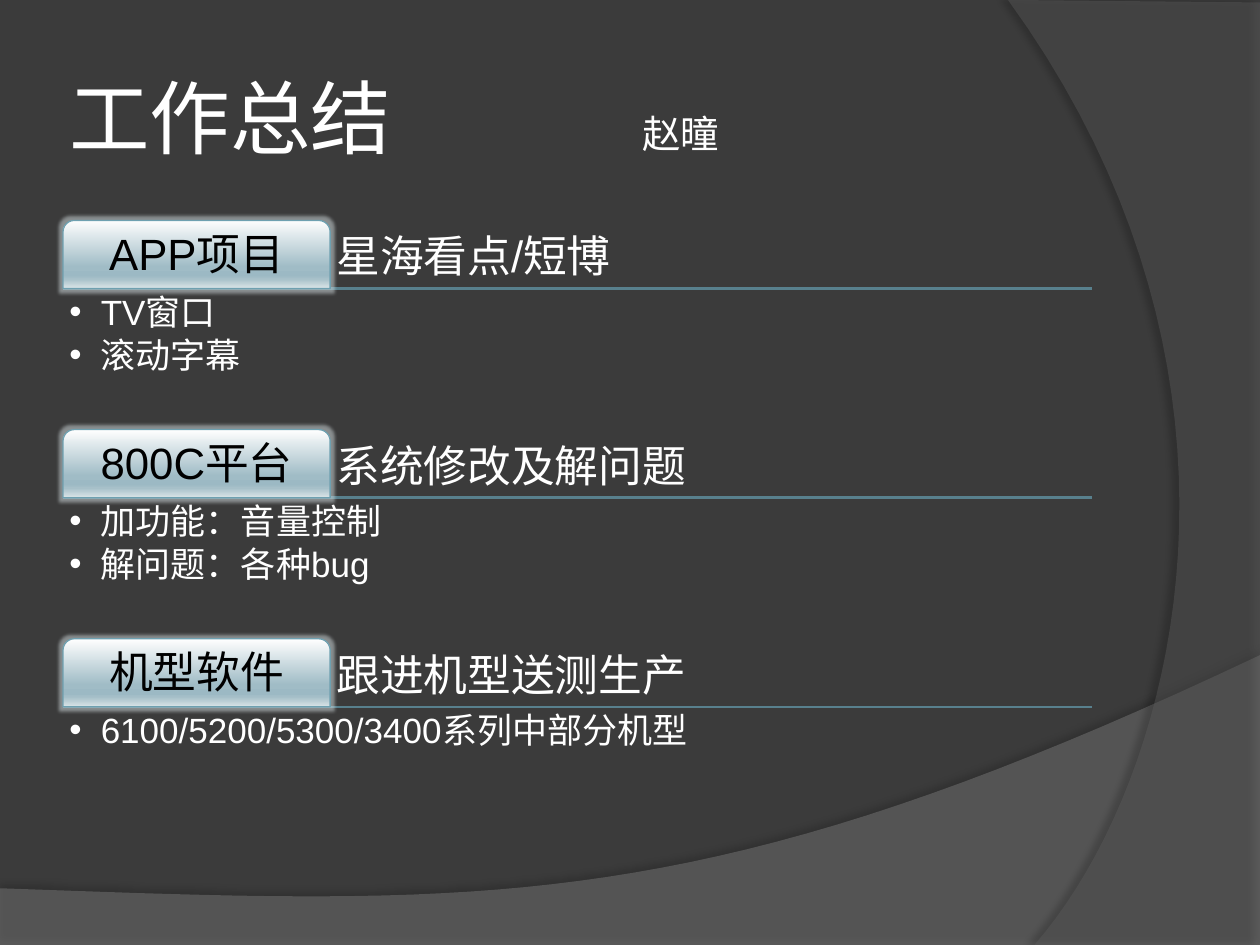
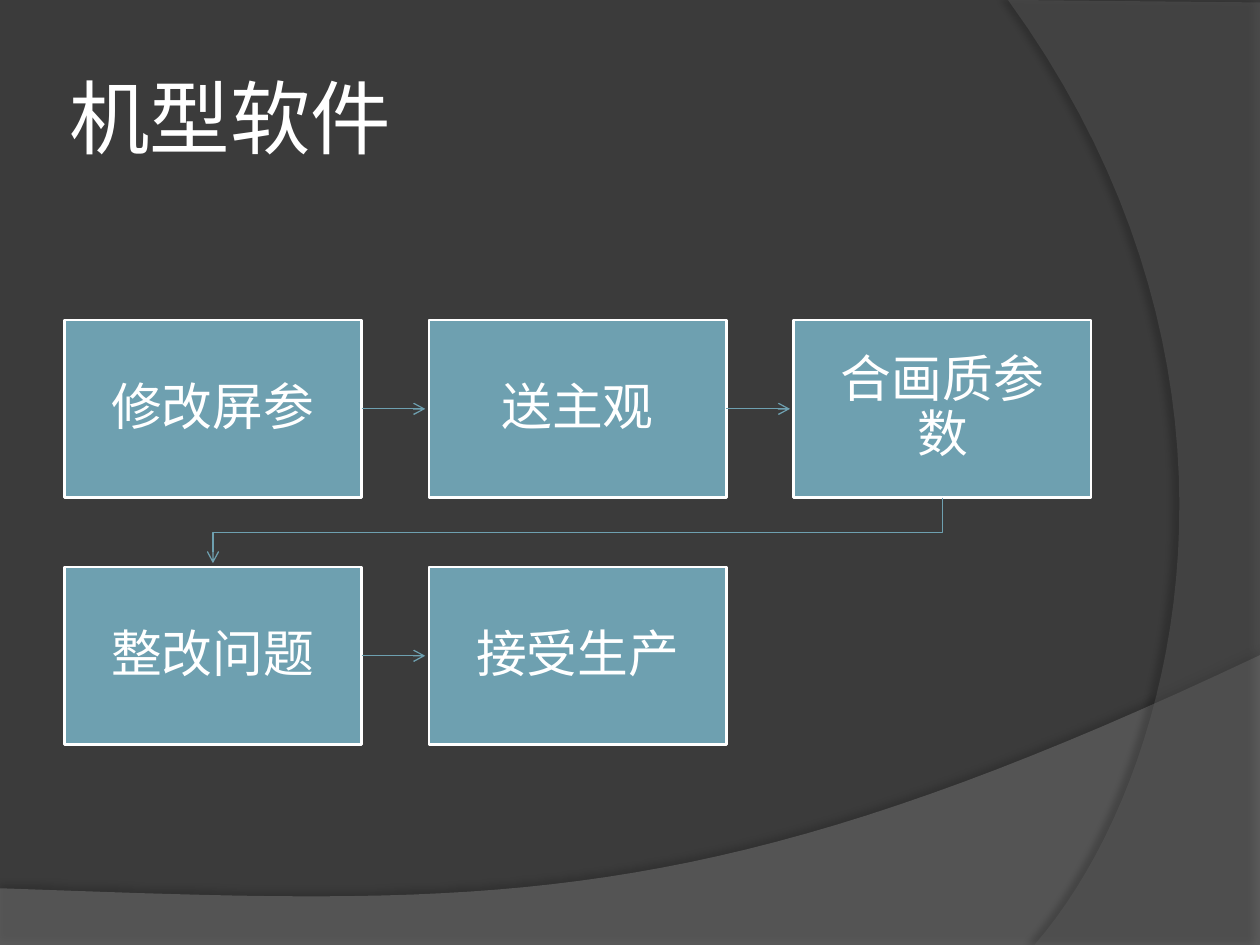
from lxml.etree import SubElement
from pptx import Presentation
from pptx.dml.color import RGBColor
from pptx.enum.shapes import MSO_CONNECTOR, MSO_SHAPE
from pptx.enum.text import MSO_ANCHOR, PP_ALIGN
from pptx.oxml.ns import qn
from pptx.util import Inches, Pt

COLORS = {
    "background": "3B3B3B",
    "lower_band": "7F7F7F",
    "right_band": "5E5E5E",
    "shadow": "000000",
    "accent": "6EA0B0",
    "rule": "58808D",
    "glow": "DAE4E7",
    "light": "FFFFFF",
    "dark": "000000",
}
TAB_GRADIENT = [(0, "FEFEFE"), (68, "A0BCC6"), (81, "9CB9C4"), (86, "A7C0C9"), (100, "DAE4E7")]
TITLE_BOX = (0.5, 0.3, 8.17, 1.25)
SECTIONS = [
    ("APP项目", "星海看点/短博", ["TV窗口", "滚动字幕"]),
    ("800C平台", "系统修改及解问题", ["加功能：音量控制", "解问题：各种bug"]),
    ("机型软件", "跟进机型送测生产", ["6100/5200/5300/3400系列中部分机型"]),
]
STEPS = ["修改屏参", "送主观", "合画质参数", "整改问题", "接受生产"]


def color(name):
    return RGBColor.from_string(COLORS[name])


def inches(values):
    return [Inches(value) for value in values]


def add_xml(parent, tag, **attributes):
    return SubElement(parent, qn(tag), {key: str(value) for key, value in attributes.items()})


def add_color(parent, value, alpha=100):
    node = add_xml(parent, "a:srgbClr", val=value)
    if alpha < 100:
        add_xml(node, "a:alpha", val=alpha * 1000)


def add_effect(shape, tag, name, alpha, **attributes):
    shape.shadow.inherit = False
    effects = shape._element.spPr.find(qn("a:effectLst"))
    add_color(add_xml(effects, tag, **attributes), COLORS[name], alpha)


def write(shape, text, size=25, font="Arial", tone="light", align=PP_ALIGN.LEFT,
          anchor=MSO_ANCHOR.MIDDLE, inset=0.05, spacing=0.9, after=0, bullet=False):
    frame = shape.text_frame
    frame.word_wrap = True
    frame.vertical_anchor = anchor
    frame.margin_left = frame.margin_right = Inches(inset)
    frame.margin_top = frame.margin_bottom = Inches(inset)
    for index, line in enumerate(text.split("\n")):
        para = frame.paragraphs[0] if index == 0 else frame.add_paragraph()
        para.alignment = align
        para.line_spacing = spacing
        para.space_after = Pt(after)
        if bullet:
            properties = para._p.get_or_add_pPr()
            properties.set("marL", str(Inches(0.25)))
            properties.set("indent", str(-Inches(0.25)))
            add_xml(properties, "a:buFont", typeface="Arial")
            add_xml(properties, "a:buChar", char="•")
        add_span(para, line, size, font, tone)
    return frame


def add_span(para, text, size, font, tone):
    span = para.add_run()
    span.text = text
    span.font.size = Pt(size)
    span.font.name = font
    span.font.color.rgb = color(tone)


def add_text(page, box, text, **style):
    return write(page.shapes.add_textbox(*inches(box)), text, **style)


def style_line(shape, name, width, arrow=False):
    shape.line.color.rgb = color(name)
    shape.line.width = Pt(width)
    if arrow:
        add_xml(shape.line._get_or_add_ln(), "a:tailEnd", type="arrow")


def add_line(page, start, end, name, width, arrow=False):
    line = page.shapes.add_connector(MSO_CONNECTOR.STRAIGHT, *inches(start + end))
    style_line(line, name, width, arrow)
    add_xml(line._element.spPr, "a:effectLst")


def add_outline(page, points, close):
    first, *rest = [tuple(inches(point)) for point in points]
    builder = page.shapes.build_freeform(*first)
    builder.add_line_segments(rest, close=close)
    shape = builder.convert_to_shape()
    shape.shadow.inherit = False
    return shape


def curve(start, control_one, control_two, end, steps=40):
    points = []
    for index in range(steps + 1):
        t = index / steps
        weights = ((1 - t) ** 3, 3 * t * (1 - t) ** 2, 3 * t * t * (1 - t), t ** 3)
        corners = zip(start, control_one, control_two, end)
        points.append(tuple(sum(w * v for w, v in zip(weights, axis)) for axis in corners))
    return points


def add_band(page, points, name, alpha, shadow_alpha, distance, direction):
    band = add_outline(page, points, True)
    band.fill.solid()
    band.fill.fore_color.rgb = color(name)
    fill = band._element.spPr.find(qn("a:solidFill"))
    add_xml(fill[0], "a:alpha", val=alpha * 1000)
    band.line.fill.background()
    add_effect(band, "a:outerShdw", "shadow", shadow_alpha, blurRad=Pt(4),
               dist=Pt(distance), dir=direction * 60000, rotWithShape=0)


def add_page(deck, title):
    page = deck.slides.add_slide(deck.slide_layouts[6])
    lower = [(0, 7.5), (10, 7.5)] + curve((10, 5.2), (5.59, 7.29), (3.91, 7.19), (0, 7.05))
    right = [(10, 0.02), (10, 7.5)] + curve((8.21, 7.5), (9.35, 6.19), (10.18, 3), (8, 0))
    add_band(page, lower, "lower_band", 45, 35, 3.5, 270)
    add_band(page, right, "right_band", 40, 45, 4, 180)
    frame = add_text(page, TITLE_BOX, title, size=46, font="Open Sans", spacing=1.0)
    return page, frame.paragraphs[0]


def add_author(para, name, position):
    tabs = add_xml(para._p.get_or_add_pPr(), "a:tabLst")
    add_xml(tabs, "a:tab", pos=Inches(position), algn="l")
    add_span(para, "\t" + name, 22, "Open Sans", "light")


def add_section(page, box, label, heading, items):
    left, top, width, height = box
    tab_width, tab_height = 2.12, 0.54
    base = top + tab_height
    add_line(page, (left, base), (left + width, base), "rule", 1.5)
    add_text(page, (left + tab_width, top, width - tab_width, tab_height), heading,
             anchor=MSO_ANCHOR.BOTTOM)
    tab = page.shapes.add_shape(MSO_SHAPE.ROUND_2_SAME_RECTANGLE,
                                *inches((left, top, tab_width, tab_height)))
    tab.fill.gradient()
    tab.fill.gradient_angle = 270
    stops = tab._element.spPr.find(qn("a:gradFill")).find(qn("a:gsLst"))
    for stop in list(stops):
        stops.remove(stop)
    for position, value in TAB_GRADIENT:
        add_color(add_xml(stops, "a:gs", pos=position * 1000), value)
    style_line(tab, "accent", 0.75)
    add_effect(tab, "a:glow", "glow", 50, rad=Pt(4))
    write(tab, label, tone="dark", align=PP_ALIGN.CENTER)
    add_text(page, (left, base, width, height - tab_height), "\n".join(items), size=20,
             anchor=MSO_ANCHOR.TOP, after=3, bullet=True)


def add_process(page, box, steps, columns=3, card_width=2.36, card_height=1.41):
    left, top, width, height = box
    rows = -(-len(steps) // columns)
    column_pitch = (width - card_width) / (columns - 1)
    row_pitch = (height - card_height) / (rows - 1)
    clearance = 0.03
    for index, step in enumerate(steps):
        row, column = divmod(index, columns)
        x, y = left + column * column_pitch, top + row * row_pitch
        card = page.shapes.add_shape(MSO_SHAPE.RECTANGLE,
                                     *inches((x, y, card_width, card_height)))
        card.shadow.inherit = False
        card.fill.solid()
        card.fill.fore_color.rgb = color("accent")
        style_line(card, "light", 1.5)
        write(card, step, size=29, align=PP_ALIGN.CENTER, inset=0.23)
        if index == len(steps) - 1:
            continue
        if column < columns - 1:
            middle = y + card_height / 2
            add_line(page, (x + card_width, middle), (x + column_pitch - clearance, middle),
                     "accent", 0.75, arrow=True)
        else:
            start, end = x + card_width / 2, left + card_width / 2
            bottom, next_top = y + card_height, y + row_pitch
            turn = (bottom + next_top) / 2
            elbow = add_outline(page, [(start, bottom), (start, turn), (end, turn),
                                       (end, next_top - clearance)], False)
            elbow.fill.background()
            style_line(elbow, "accent", 0.75, arrow=True)


def build_summary(deck):
    page, title = add_page(deck, "工作总结")
    add_author(title, "赵曈", 4.55)
    for index, section in enumerate(SECTIONS):
        add_section(page, (0.5, 1.75 + index * 1.66, 8.17, 1.63), *section)


def build_workflow(deck):
    page, _ = add_page(deck, "机型软件")
    add_process(page, (0.51, 2.54, 8.15, 3.37), STEPS)


deck = Presentation()
deck.slide_width, deck.slide_height = inches((10, 7.5))
backdrop = deck.slide_master.background.fill
backdrop.solid()
backdrop.fore_color.rgb = color("background")
build_summary(deck)
build_workflow(deck)
deck.save("out.pptx")
